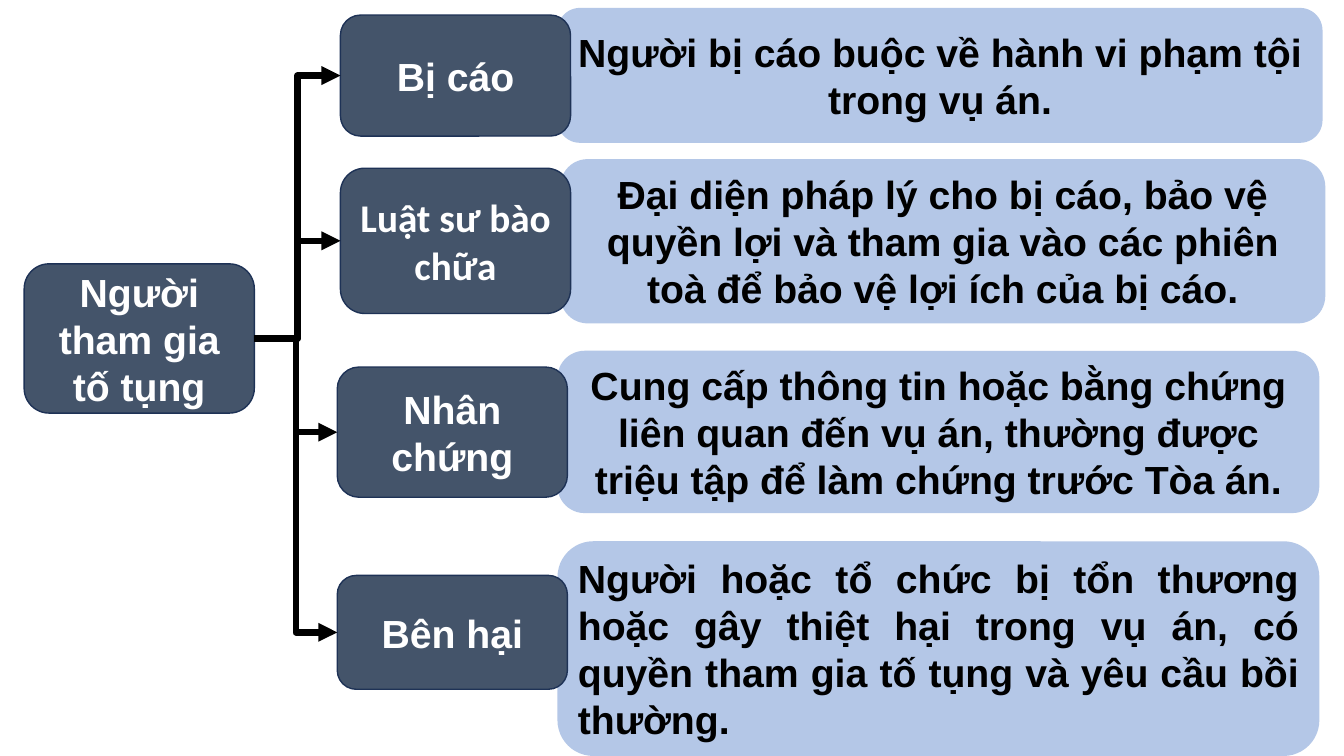
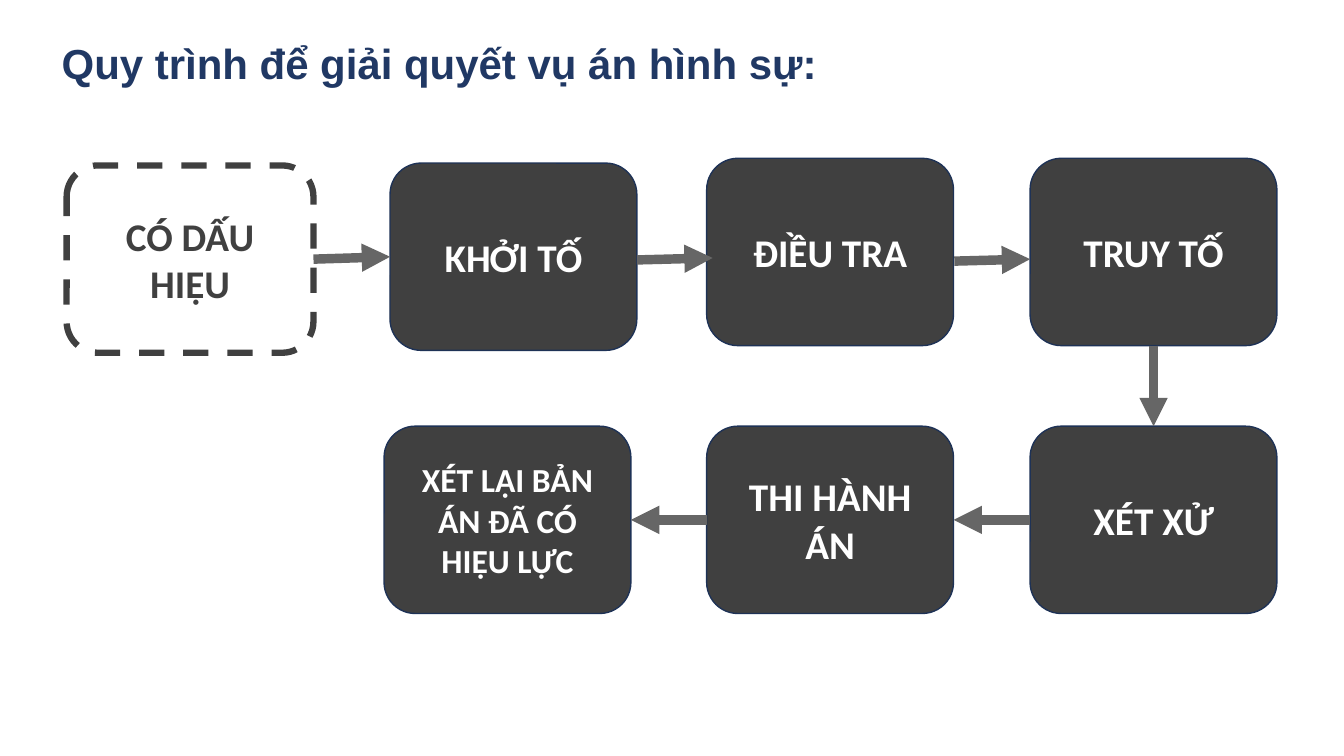
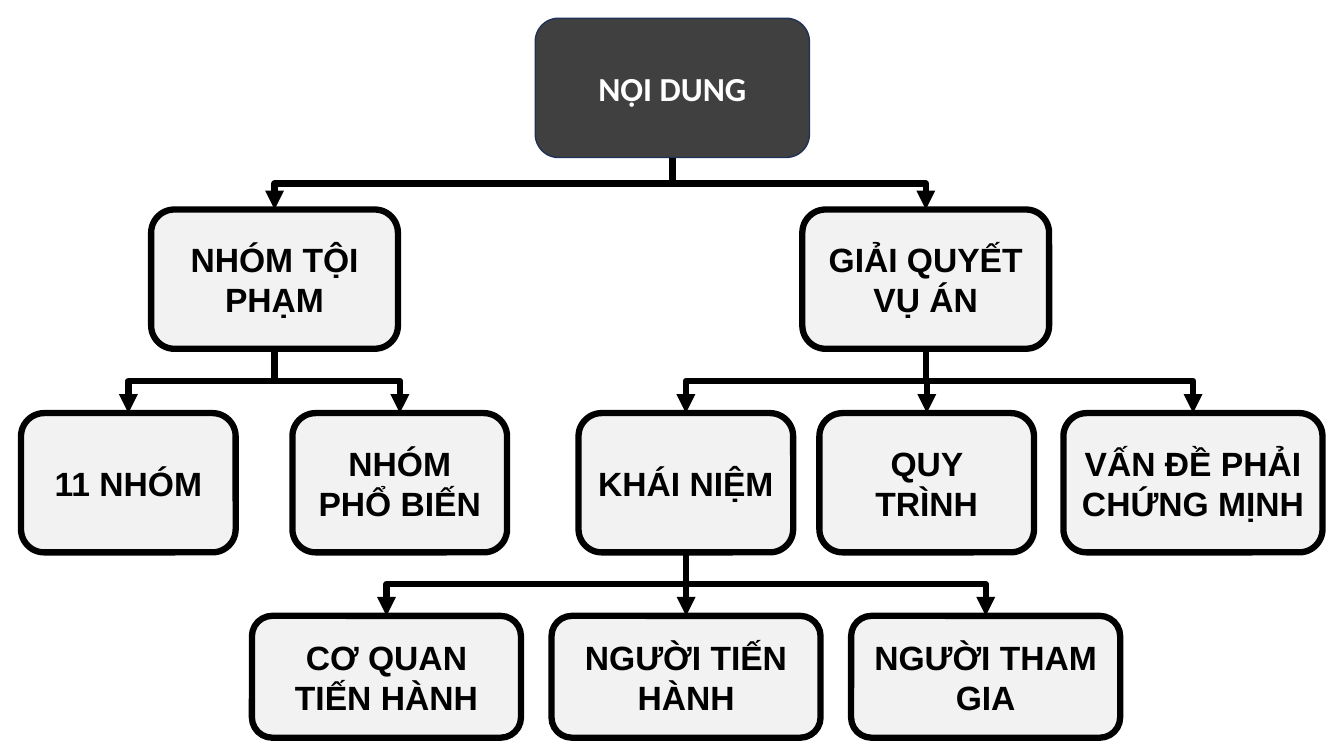
from lxml import etree
from pptx import Presentation
from pptx.dml.color import RGBColor
from pptx.enum.dml import MSO_LINE
from pptx.enum.shapes import MSO_CONNECTOR, MSO_SHAPE
from pptx.enum.text import MSO_ANCHOR, MSO_AUTO_SIZE, PP_ALIGN
from pptx.oxml.ns import qn
from pptx.util import Cm, Pt

ROUND = MSO_SHAPE.ROUNDED_RECTANGLE
SOFT = MSO_SHAPE.FLOWCHART_ALTERNATE_PROCESS
STRAIGHT, ELBOW = MSO_CONNECTOR.STRAIGHT, MSO_CONNECTOR.ELBOW
DASH = MSO_LINE.DASH
LEFT, MID, FULL = PP_ALIGN.LEFT, PP_ALIGN.CENTER, PP_ALIGN.JUSTIFY
TOP, NO_FIT = MSO_ANCHOR.TOP, MSO_AUTO_SIZE.NONE
UP_SIDE, LEFT_SIDE, LOW_SIDE, RIGHT_SIDE = range(4)

WHITE = RGBColor(0xFF, 0xFF, 0xFF)
BLACK = RGBColor(0x00, 0x00, 0x00)
PALE = RGBColor(0xB4, 0xC7, 0xE7)
SLATE = RGBColor(0x44, 0x54, 0x6A)
NAVY = RGBColor(0x1E, 0x32, 0x56)
BLUE = RGBColor(0x20, 0x38, 0x64)
COAL = RGBColor(0x40, 0x40, 0x40)
GRAY = RGBColor(0x66, 0x66, 0x66)
LIGHT = RGBColor(0xF2, 0xF2, 0xF2)

# Each look: fill, edge, edge width, text colour
PANE = (PALE, None, 0, BLACK)
LABEL = (SLATE, NAVY, 1, WHITE)
DARK = (COAL, NAVY, 1, WHITE)
OPEN = (None, COAL, 4.5, COAL)
NODE = (LIGHT, BLACK, 4.5, BLACK)


def box(slide, kind, look, place, text, size=28, font="Arial", align=MID):
    """Add a shape with bold text; place is left, top, width, height in cm."""
    fill, edge, weight, ink = look
    shape = slide.shapes.add_shape(kind, *[Cm(n) for n in place])
    shape.shadow.inherit = False
    if fill is None:
        shape.fill.background()
    else:
        shape.fill.solid()
        shape.fill.fore_color.rgb = fill
    if edge is None:
        shape.line.fill.background()
    else:
        shape.line.color.rgb = edge
        shape.line.width = Pt(weight)
    para = shape.text_frame.paragraphs[0]
    para.text = text
    para.alignment = align
    para.font.size, para.font.name = Pt(size), font
    para.font.bold, para.font.color.rgb = True, ink
    return shape


def arrow(slide, kind, ends, color, weight):
    """Add an arrow; ends is x1, y1, x2, y2."""
    line = slide.shapes.add_connector(kind, *ends)
    line.line.color.rgb = color
    line.line.width = Pt(weight)
    props = line._element.spPr
    etree.SubElement(props.find(qn("a:ln")), qn("a:tailEnd"), type="triangle")
    etree.SubElement(props, qn("a:effectLst"))
    return line


deck = Presentation()
deck.slide_width, deck.slide_height = Cm(33.87), Cm(19.05)
bare, titled = deck.slide_layouts[6], deck.slide_layouts[5]

# Slide 1: people who take part
slide = deck.slides.add_slide(bare)
root = box(slide, SOFT, LABEL, (0.61, 6.65, 5.8, 3.76), "Người tham gia tố tụng")
roles = [
    ("Bị cáo", "Arial", (8.58, 0.38, 5.8, 3.05),
     "Người bị cáo buộc về hành vi phạm tội trong vụ án.",
     (14.05, 0.2, 19.28, 3.4), MID),
    ("Luật sư bào chữa", "Calibri", (8.58, 4.24, 5.8, 3.66),
     "Đại diện pháp lý cho bị cáo, bảo vệ quyền lợi và tham gia vào các "
     "phiên toà để bảo vệ lợi ích của bị cáo.",
     (14.12, 4.01, 19.28, 4.14), MID),
    ("Nhân chứng", "Arial", (8.5, 9.25, 5.8, 3.28),
     "Cung cấp thông tin hoặc bằng chứng liên quan đến vụ án, thường được "
     "triệu tập để làm chứng trước Tòa án.",
     (14.05, 8.84, 19.2, 4.09), MID),
    ("Bên hại", "Arial", (8.5, 14.5, 5.8, 2.87),
     "Người hoặc tổ chức bị tổn thương hoặc gây thiệt hại trong vụ án, có "
     "quyền tham gia tố tụng và yêu cầu bồi thường.",
     (14.05, 13.64, 19.2, 5.41), FULL),
]
for name, font, spot, text, area, align in roles:
    box(slide, SOFT, PANE, area, text, align=align)
    role = box(slide, SOFT, LABEL, spot, name, font=font)
    ends = (root.left + root.width, root.top + root.height // 2,
            role.left, role.top + role.height // 2)
    line = arrow(slide, ELBOW, ends, BLACK, 4.5)
    line.begin_connect(root, RIGHT_SIDE)
    line.end_connect(role, LEFT_SIDE)

# Slide 2: steps of a criminal case
slide = deck.slides.add_slide(titled)
title = slide.shapes.title
title.left, title.top, title.width, title.height = Cm(1.3), Cm(0.81), Cm(22.5), Cm(1.55)
frame = title.text_frame
frame.vertical_anchor, frame.auto_size, frame.word_wrap = TOP, NO_FIT, True
para = frame.paragraphs[0]
para.text = "Quy trình để giải quyết vụ án hình sự:"
para.alignment, para.line_spacing = LEFT, 1.0
para.font.size, para.font.name = Pt(30), "Arial"
para.font.bold, para.font.color.rgb = True, BLUE

steps = [
    ("CÓ DẤU HIỆU", 1.68, 4.17, OPEN, 28),
    ("KHỞI TỐ", 9.83, 4.11, DARK, 28),
    ("ĐIỀU TRA", 17.81, 3.99, DARK, 28),
    ("TRUY TỐ", 25.96, 3.99, DARK, 28),
    ("XÉT XỬ", 25.96, 10.74, DARK, 28),
    ("THI HÀNH ÁN", 17.81, 10.74, DARK, 28),
    ("XÉT LẠI BẢN ÁN ĐÃ CÓ HIỆU LỰC", 9.68, 10.74, DARK, 24),
]
cards = [box(slide, ROUND, look, (x, y, 6.22, 4.72), text, size, "Calibri")
         for text, x, y, look, size in steps]
cards[0].line.dash_style = DASH

joins = [(0, RIGHT_SIDE, LEFT_SIDE), (3, LOW_SIDE, UP_SIDE),
         (4, LEFT_SIDE, RIGHT_SIDE), (5, LEFT_SIDE, RIGHT_SIDE)]
for i, out, into in joins:
    a, b = cards[i], cards[i + 1]
    line = arrow(slide, STRAIGHT, (a.left, a.top, b.left, b.top), GRAY, 6.75)
    line.begin_connect(a, out)
    line.end_connect(b, into)
for ends in [(16.05, 6.55, 17.96, 6.5), (24.05, 6.58, 25.96, 6.53)]:
    arrow(slide, STRAIGHT, [Cm(n) for n in ends], GRAY, 6.75)

# Slide 3: outline tree
slide = deck.slides.add_slide(bare)
top = "NỘI DUNG"
nodes = {top: box(slide, ROUND, DARK, (13.49, 0.46, 6.91, 3.51), top, 24, "Calibri")}
rows = [
    (5.28, 3.51, [
        ("NHÓM TỘI PHẠM", top, 3.81, 6.22),
        ("GIẢI QUYẾT VỤ ÁN", top, 20.22, 6.22)]),
    (10.41, 3.51, [
        ("11 NHÓM", "NHÓM TỘI PHẠM", 0.53, 5.41),
        ("NHÓM PHỔ BIẾN", "NHÓM TỘI PHẠM", 7.37, 5.41),
        ("KHÁI NIỆM", "GIẢI QUYẾT VỤ ÁN", 14.58, 5.41),
        ("QUY TRÌNH", "GIẢI QUYẾT VỤ ÁN", 20.65, 5.41),
        ("VẤN ĐỀ PHẢI CHỨNG MỊNH", "GIẢI QUYẾT VỤ ÁN", 26.8, 6.53)]),
    (15.52, 3.07, [
        ("CƠ QUAN TIẾN HÀNH", "KHÁI NIỆM", 6.35, 6.78),
        ("NGƯỜI TIẾN HÀNH", "KHÁI NIỆM", 13.9, 6.78),
        ("NGƯỜI THAM GIA", "KHÁI NIỆM", 21.45, 6.78)]),
]
for y, high, row in rows:
    for text, above, x, wide in row:
        node = box(slide, ROUND, NODE, (x, y, wide, high), text, 24)
        nodes[text], head = node, nodes[above]
        x1, y1 = head.left + head.width // 2, head.top + head.height
        x2, y2 = node.left + node.width // 2, node.top
        line = arrow(slide, ELBOW, (x1, y1, x2, y2), BLACK, 4.5)
        line.begin_connect(head, LOW_SIDE)
        line.end_connect(node, UP_SIDE)
        # Turn the elbow so that it leaves and arrives vertically
        drop, shift = y2 - y1, abs(x2 - x1)
        line.left, line.top = (x1 + x2 - drop) // 2, (y1 + y2 - shift) // 2
        line.width, line.height = drop, shift
        frame = line._element.spPr.find(qn("a:xfrm"))
        frame.set("rot", "5400000" if x2 < x1 else "16200000")
        frame.set("flipH", "0" if x2 < x1 else "1")

deck.save("out.pptx")
